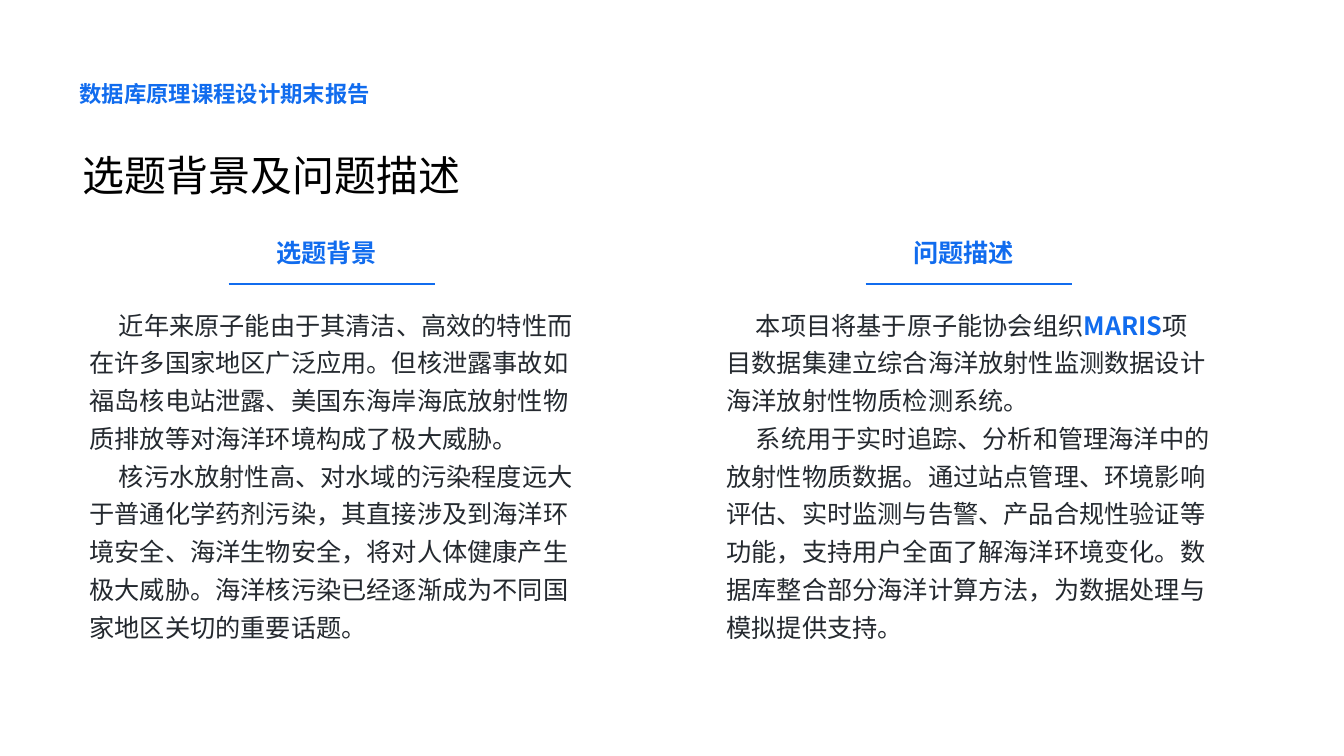
from lxml.etree import SubElement
from pptx import Presentation
from pptx.dml.color import RGBColor
from pptx.enum.shapes import MSO_CONNECTOR
from pptx.enum.text import MSO_ANCHOR
from pptx.oxml.ns import qn
from pptx.util import Pt

FONT = "Noto Sans CJK SC"
BLUE = RGBColor(0x11, 0x6C, 0xEE)
BLACK = RGBColor(0x00, 0x00, 0x00)
DARK = RGBColor(0x24, 0x29, 0x2F)

EYEBROW = {"size": Pt(16), "bold": True, "name": FONT}
TITLE = {"size": Pt(30), "name": FONT}
HEADING = {"size": Pt(18), "bold": True, "name": FONT}
BODY = {"size": Pt(18), "bold": False, "name": FONT}

COLUMN_LEFT = 56.9
COLUMN_STEP = 455
COLUMNS = [
    ("选题背景", [
        [("近年来原子能由于其清洁、高效的特性而在许多国家地区广泛应用。但核泄露事故如福岛核电站泄露、美国东海岸海底放射性物质排放等对海洋环境构成了极大威胁。", BODY, DARK)],
        [("核污水放射性高、对水域的污染程度远大于普通化学药剂污染，其直接涉及到海洋环境安全、海洋生物安全，将对人体健康产生极大威胁。海洋核污染已经逐渐成为不同国家地区关切的重要话题。", BODY, DARK)],
    ]),
    ("问题描述", [
        [("本项目将基于原子能协会组织", BODY, DARK),
         ("MARIS", HEADING, BLUE),
         ("项目数据集建立综合海洋放射性监测数据设计海洋放射性物质检测系统。", BODY, DARK)],
        [("系统用于实时追踪、分析和管理海洋中的放射性物质数据。通过站点管理、环境影响评估、实时监测与告警、产品合规性验证等功能，支持用户全面了解海洋环境变化。数据库整合部分海洋计算方法，为数据处理与模拟提供支持。", BODY, DARK)],
    ]),
]

prs = Presentation()
prs.slide_width, prs.slide_height = Pt(960), Pt(540)
s = prs.slides.add_slide(prs.slide_layouts[6])


def add_text(left, top, width, height, paragraphs, spacing=1.0, indent=0):
    tf = s.shapes.add_textbox(Pt(left), Pt(top), Pt(width), Pt(height)).text_frame
    tf.word_wrap = True
    for i, runs in enumerate(paragraphs):
        p = tf.add_paragraph() if i else tf.paragraphs[0]
        p.line_spacing = spacing
        if indent:
            pPr = p._p.get_or_add_pPr()
            pPr.set("marL", "0")
            pPr.set("indent", str(Pt(indent)))
        for text, style, color in runs:
            r = p.add_run()
            r.text = text
            for key, value in style.items():
                setattr(r.font, key, value)
            r.font.color.rgb = color
            SubElement(r.font._element, qn("a:ea")).set("typeface", FONT)
    return tf


tf = add_text(COLUMN_LEFT, 54.7, 283.7, 21.6,
              [[("数据库原理课程设计期末报告", EYEBROW, BLUE)]], spacing=0.8)
tf.vertical_anchor = MSO_ANCHOR.BOTTOM
for side in ("left", "top", "right", "bottom"):
    setattr(tf, f"margin_{side}", 0)

add_text(51.8, 103, 841, 43.2, [[("选题背景及问题描述", TITLE, BLACK)]])

for i, (heading, paragraphs) in enumerate(COLUMNS):
    x = COLUMN_LEFT + i * COLUMN_STEP
    add_text(x, 212.4, 359.3, 252.7, paragraphs, spacing=1.25, indent=21)
    add_text(x + 133.2, 166.3, 90, 28.8, [[(heading, HEADING, BLUE)]])
    rule = s.shapes.add_connector(MSO_CONNECTOR.STRAIGHT, Pt(x + 106.5), Pt(203),
                                  Pt(x + 253.5), Pt(203))
    rule.line.color.rgb = BLUE
    rule.line.width = Pt(1)
    SubElement(rule._element.spPr, qn("a:effectLst"))

prs.save("out.pptx")
